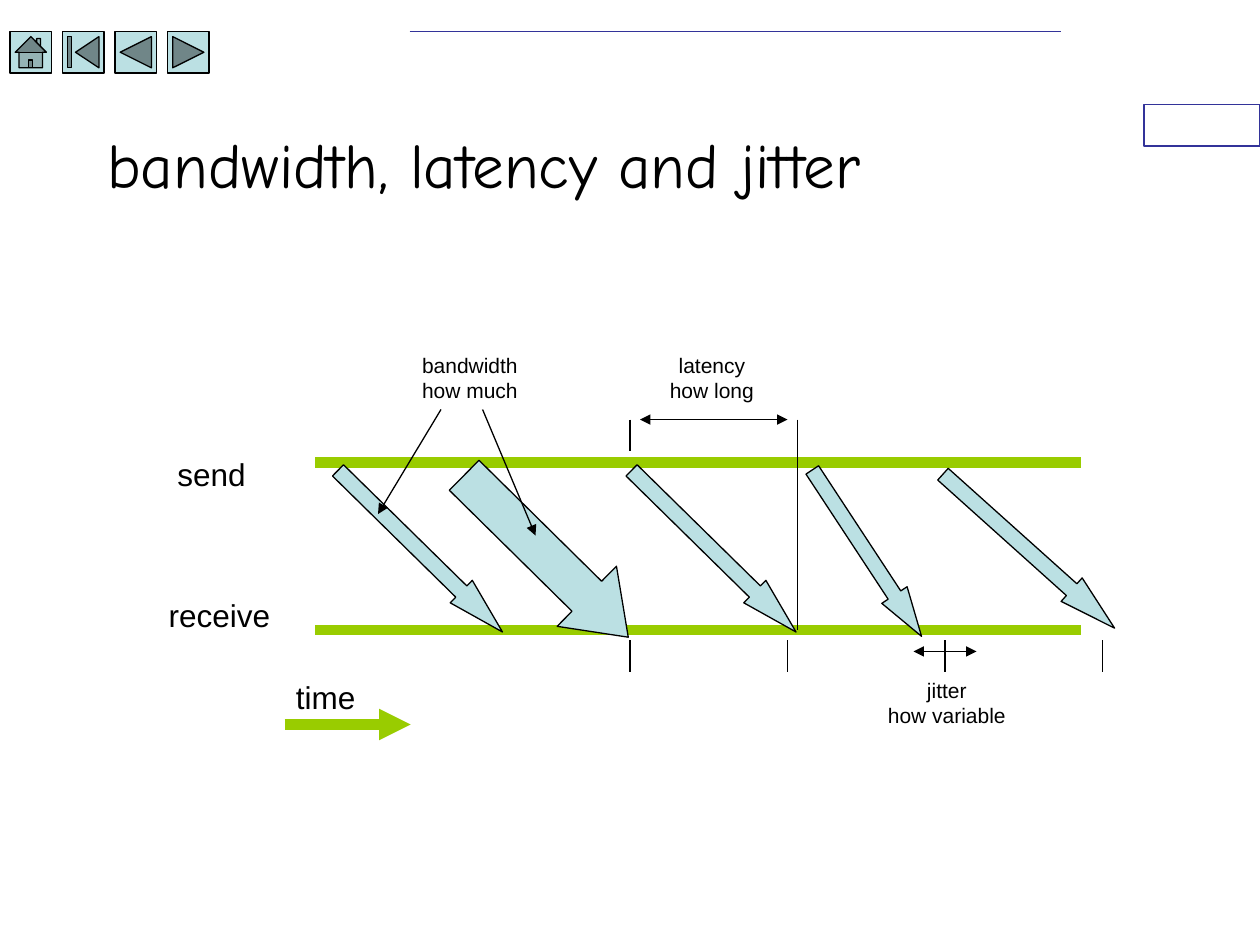
from lxml.etree import SubElement
from pptx import Presentation
from pptx.dml.color import RGBColor
from pptx.enum.shapes import MSO_CONNECTOR, MSO_SHAPE as SHAPE
from pptx.enum.text import MSO_ANCHOR, MSO_AUTO_SIZE, PP_ALIGN as ALIGN
from pptx.oxml.ns import qn
from pptx.util import Inches, Pt

COLORS = {"ink": "000000", "paper": "FFFFFF", "pale": "BBE0E3",
          "green": "99CC00", "navy": "333399"}
BODY_FONT, TITLE_FONT = "Arial", "Comic Neue"
TITLE = "bandwidth, latency and jitter"

BUTTONS = [SHAPE.ACTION_BUTTON_HOME, SHAPE.ACTION_BUTTON_BEGINNING,
           SHAPE.ACTION_BUTTON_BACK_OR_PREVIOUS, SHAPE.ACTION_BUTTON_FORWARD_OR_NEXT]
BUTTON_SIZE, BUTTON_PITCH = 0.33, 5 / 12

SEND_Y, RECEIVE_Y = 3.67, 5
TICK_TOP, TICK_BOTTOM = 5.08, 5.33
TICKS = [5 + 1.25 * i for i in range(4)]

LABELS = [("send", 1.31, 3.56, 0.8), ("receive", 1.24, 4.68, 1.1), ("time", 2.25, 5.33, 0.75)]
CAPTIONS = [("bandwidth\vhow much", 3.21, 2.75, 1.04),
            ("latency\vhow long", 5.17, 2.75, 0.96),
            ("jitter\vhow variable", 6.9, 5.33, 1.23)]

PACKETS = [(2.42, 4.25, 1.83, 0.25, 44.5, 1.83),
           (3.42, 4.08, 1.83, 0.67, 44.6, 0.69),
           (4.75, 4.25, 1.83, 0.25, 44.5, 1.83),
           (6.09, 4.27, 1.58, 0.24, 56.7, 1.63),
           (7.25, 4.25, 1.83, 0.25, 41.9, 1.83)]

RAILS = [(2.5, y, 8.58, y) for y in (SEND_Y, RECEIVE_Y)]
TIME_ARROW = (2.26, 5.75, 3.26, 5.75)
POINTERS = [(3.5, 3.25, 3, 4.08), (3.83, 3.25, 4.25, 4.25)]
MARKS = [(5, 3.33, 5, 3.58), (6.33, 3.33, 6.33, RECEIVE_Y)]
MARKS += [(x, TICK_TOP, x, TICK_BOTTOM) for x in TICKS]
SPANS = [(5.08, 3.33, 6.25, 3.33), (7.25, 5.17, 7.75, 5.17)]


def rgb(name):
    return RGBColor.from_string(COLORS[name])


def set_font(p, size, name):
    p.font.size, p.font.name = Pt(size), name
    p.font.color.rgb = rgb("ink")


def add_line(s, ends, color="ink", width=0.75, arrows=()):
    c = s.shapes.add_connector(MSO_CONNECTOR.STRAIGHT, *map(Inches, ends))
    c.line.color.rgb, c.line.width = rgb(color), Pt(width)
    sp_pr = c._element.spPr
    for end in arrows:
        SubElement(sp_pr.find(qn("a:ln")), qn(f"a:{end}End"), type="triangle")
    SubElement(sp_pr, qn("a:effectLst"))


def add_block(s, kind, box, fill="pale", line="ink"):
    sp = s.shapes.add_shape(kind, *map(Inches, box))
    sp.shadow.inherit = False
    sp.fill.solid()
    sp.fill.fore_color.rgb = rgb(fill)
    sp.line.color.rgb, sp.line.width = rgb(line), Pt(0.75)
    return sp


def add_text(s, text, x, y, w, h, size, align):
    tf = s.shapes.add_textbox(*map(Inches, (x, y, w, h))).text_frame
    tf.word_wrap, tf.auto_size = False, MSO_AUTO_SIZE.NONE
    p = tf.paragraphs[0]
    p.text, p.alignment = text, align
    set_font(p, size, BODY_FONT)


def add_title(s):
    sp = s.shapes.title
    sp.left, sp.top, sp.width, sp.height = map(Inches, (0.75, 0.67, 7.5, 1.25))
    tf = sp.text_frame
    tf.text, tf.vertical_anchor = TITLE, MSO_ANCHOR.MIDDLE
    tf.paragraphs[0].alignment = ALIGN.LEFT
    set_font(tf.paragraphs[0], 36, TITLE_FONT)


def main():
    prs = Presentation()
    prs.slide_width, prs.slide_height = Inches(10), Inches(7.5)
    s = prs.slides.add_slide(prs.slide_layouts[5])
    add_title(s)

    add_block(s, SHAPE.RECTANGLE, (9.08, 0.83, 0.92, 0.33), "paper", "navy")
    add_line(s, (3.25, 0.25, 8.42, 0.25), "navy", 1)
    for i, kind in enumerate(BUTTONS):
        add_block(s, kind, (0.08 + i * BUTTON_PITCH, 0.25, BUTTON_SIZE, BUTTON_SIZE))

    for text, x, y, w in LABELS:
        add_text(s, text, x, y, w, 0.4, 18, ALIGN.LEFT)
    for ends in RAILS:
        add_line(s, ends, "green", 6)
    for *box, angle, head in PACKETS:
        sp = add_block(s, SHAPE.RIGHT_ARROW, box)
        sp.adjustments[0], sp.adjustments[1] = 0.5, head
        sp.rotation = angle

    add_line(s, TIME_ARROW, "green", 6, ["tail"])
    for ends in POINTERS:
        add_line(s, ends, arrows=["tail"])
    for ends in MARKS:
        add_line(s, ends)
    for ends in SPANS:
        add_line(s, ends, arrows=["head", "tail"])
    for text, x, y, w in CAPTIONS:
        add_text(s, text, x, y, w, 0.5, 12, ALIGN.CENTER)

    prs.save("out.pptx")


if __name__ == "__main__":
    main()
